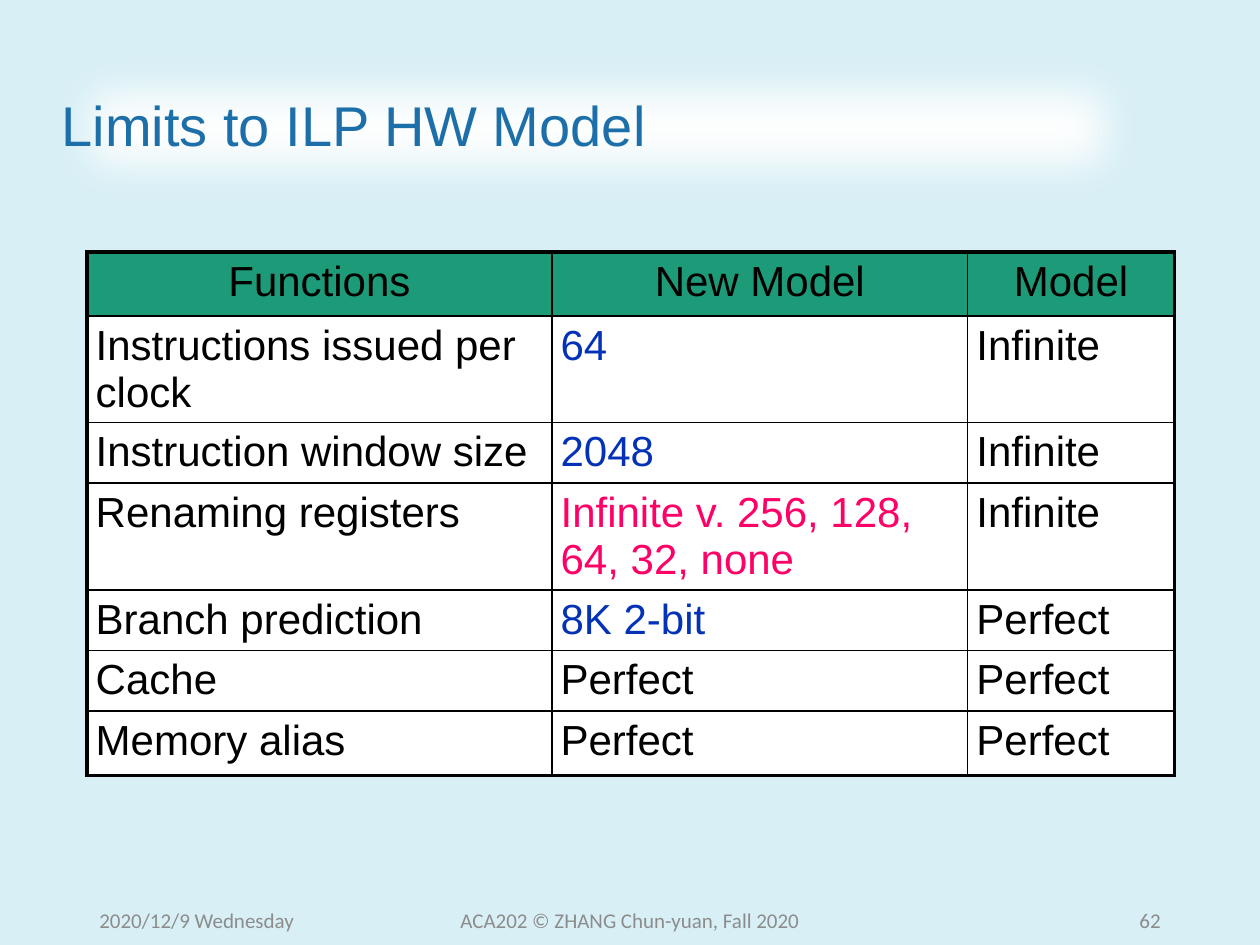
from lxml import etree
from pptx import Presentation
from pptx.dml.color import RGBColor
from pptx.enum.text import MSO_ANCHOR, PP_ALIGN
from pptx.oxml.ns import qn
from pptx.util import Inches, Pt

LEFT, CENTER, RIGHT = PP_ALIGN.LEFT, PP_ALIGN.CENTER, PP_ALIGN.RIGHT
MIDDLE = MSO_ANCHOR.MIDDLE

BLACK, WHITE, BLUE, PINK = "000000", "FFFFFF", "0332B7", "FF0066"
BACKGROUND, GREEN, TITLE_BLUE, GRAY = "D7EFF5", "1D9A78", "1D6FA9", "8C8C8C"
OUTER_LINE, INNER_LINE = Pt(2.25), Pt(1)

COLUMN_WIDTHS = [3.69, 3.3, 1.64]
ROW_HEIGHTS = [0.51, 0.84, 0.48, 0.85, 0.48, 0.48, 0.51]
ROWS = [
    ("Functions", "New Model", "Model"),
    ("Instructions issued per clock", "64", "Infinite"),
    ("Instruction window size", "2048", "Infinite"),
    ("Renaming registers", "Infinite v. 256, 128, 64, 32, none", "Infinite"),
    ("Branch prediction", "8K 2-bit", "Perfect"),
    ("Cache", "Perfect", "Perfect"),
    ("Memory alias", "Perfect", "Perfect"),
]
LIMIT_COLORS = {"64": BLUE, "2048": BLUE, "8K 2-bit": BLUE,
                "Infinite v. 256, 128, 64, 32, none": PINK}


def color(value):
    return RGBColor.from_string(value)


def fill_solid(target, value):
    target.fill.solid()
    target.fill.fore_color.rgb = color(value)


def write(text_frame, text, font_name, size, text_color, alignment=LEFT):
    paragraph = text_frame.paragraphs[0]
    paragraph.alignment = alignment
    run = paragraph.add_run()
    run.text = text
    font_format = {"name": font_name, "size": Pt(size), "bold": False}
    for name, value in font_format.items():
        setattr(run.font, name, value)
    run.font.color.rgb = color(text_color)
    return paragraph


def place(shape, box):
    for name, value in zip(("left", "top", "width", "height"), box):
        setattr(shape, name, Inches(value))


def add_title(slide, box, text):
    title = slide.shapes.title
    place(title, box)
    fill_solid(title, WHITE)
    # Soft white edge around the title band
    effects = etree.SubElement(title._element.spPr, qn("a:effectLst"))
    etree.SubElement(effects, qn("a:softEdge"), rad=str(Pt(25)))
    title.text_frame.word_wrap = True
    title.text_frame.vertical_anchor = MIDDLE
    write(title.text_frame, text, "Arial", 32, TITLE_BLUE).line_spacing = 0.9


def set_borders(cell, widths):
    properties = cell._tc.get_or_add_tcPr()
    for index, (side, width) in enumerate(widths.items()):
        line = etree.Element(qn(f"a:ln{side}"), w=str(width))
        solid = etree.SubElement(line, qn("a:solidFill"))
        etree.SubElement(solid, qn("a:srgbClr"), val=BLACK)
        properties.insert(index, line)


def add_model_table(slide, box):
    last_row, last_column = len(ROWS) - 1, len(COLUMN_WIDTHS) - 1
    frame = slide.shapes.add_table(len(ROWS), len(COLUMN_WIDTHS),
                                   *(Inches(value) for value in box))
    table = frame.table
    table.horz_banding = False
    for column, width in zip(table.columns, COLUMN_WIDTHS):
        column.width = Inches(width)
    for row, height in zip(table.rows, ROW_HEIGHTS):
        row.height = Inches(height)

    cell_format = {"margin_left": Inches(0.07), "margin_right": Inches(0.07),
                   "margin_top": Inches(0.05), "margin_bottom": Inches(0.05)}
    for r, texts in enumerate(ROWS):
        for c, text in enumerate(texts):
            cell = table.cell(r, c)
            for name, value in cell_format.items():
                setattr(cell, name, value)
            fill_solid(cell, GREEN if r == 0 else WHITE)
            write(cell.text_frame, text, "Arial", 24,
                  LIMIT_COLORS.get(text, BLACK), CENTER if r == 0 else LEFT)
            # Heavy lines run around the table only
            on_edge = {"L": c == 0, "R": c == last_column,
                       "T": r == 0, "B": r == last_row}
            set_borders(cell, {side: OUTER_LINE if edge else INNER_LINE
                               for side, edge in on_edge.items()})


def add_footer(slide, box, parts):
    left, top, width, height = box
    for text, offset, part_width, alignment in parts:
        text_box = slide.shapes.add_textbox(
            Inches(left + offset), Inches(top), Inches(part_width), Inches(height))
        text_box.text_frame.word_wrap = True
        text_box.text_frame.vertical_anchor = MIDDLE
        write(text_box.text_frame, text, "Calibri", 12, GRAY, alignment)


def main():
    presentation = Presentation()
    presentation.slide_width, presentation.slide_height = Inches(10), Inches(7.5)
    slide = presentation.slides.add_slide(presentation.slide_layouts[5])
    fill_solid(slide.background, BACKGROUND)

    add_title(slide, (0.39, 0.4, 8.69, 1.23), "Limits to ILP HW Model")
    add_model_table(slide, (0.69, 2, sum(COLUMN_WIDTHS), sum(ROW_HEIGHTS)))
    add_footer(slide, (0.69, 7.1, 8.62, 0.4), [
        ("2020/12/9 Wednesday", 0, 2.25, LEFT),
        ("ACA202 © ZHANG Chun-yuan, Fall 2020", 2.62, 3.38, CENTER),
        ("62", 6.37, 2.25, RIGHT),
    ])
    presentation.save("out.pptx")


if __name__ == "__main__":
    main()
